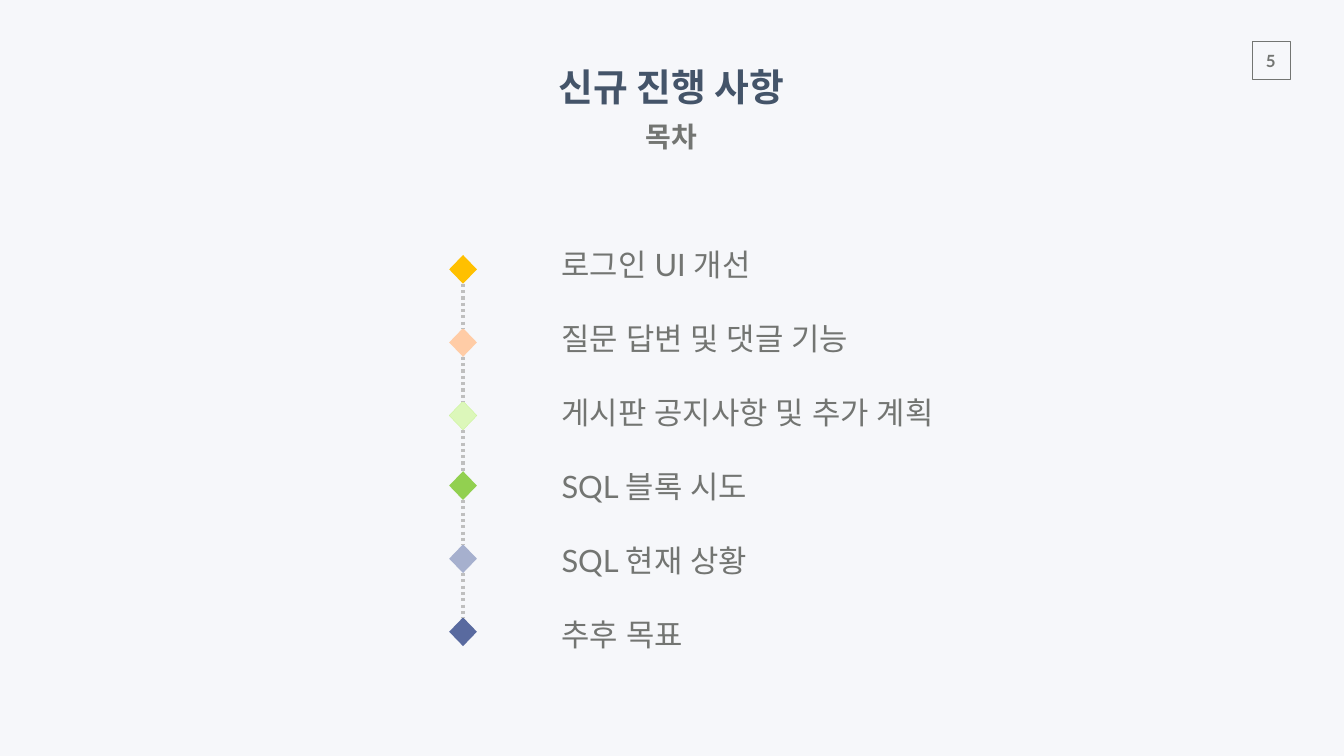
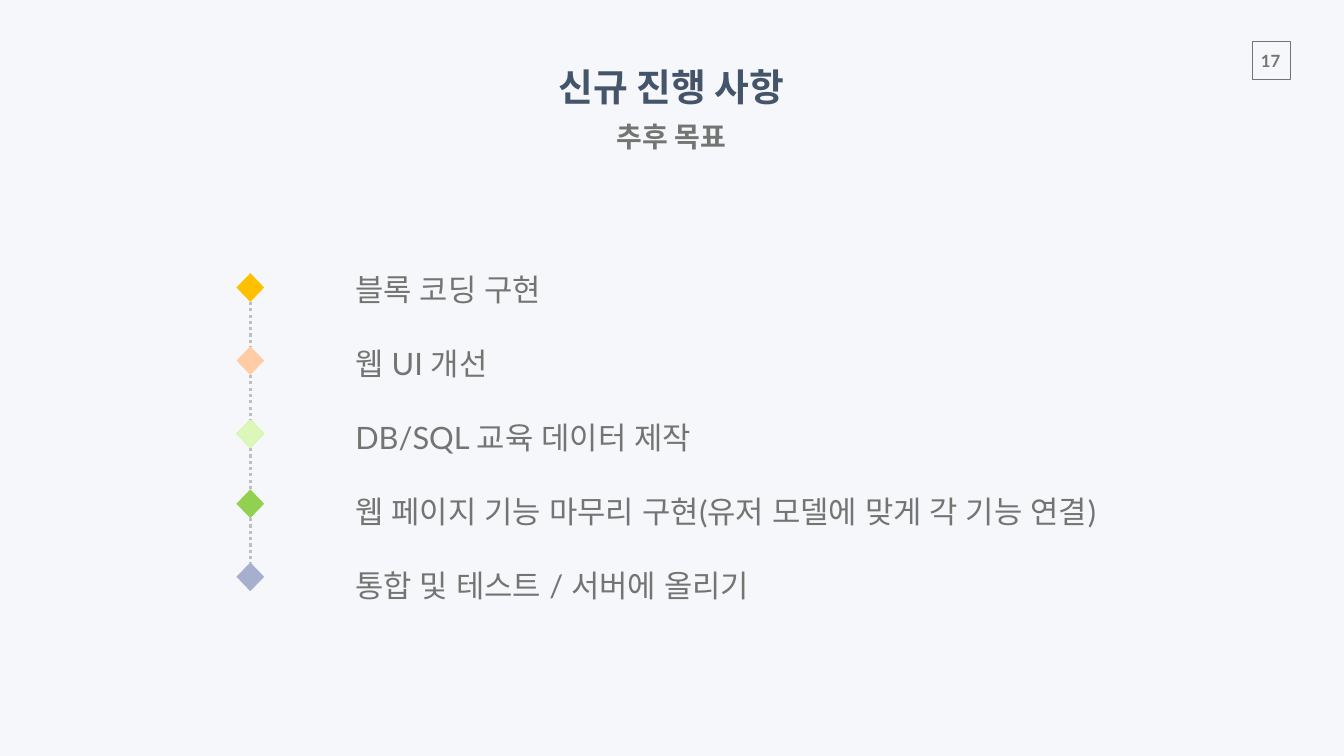
"""Build two agenda slides with a dotted diamond timeline."""
from lxml import etree
from pptx import Presentation
from pptx.dml.color import RGBColor
from pptx.enum.dml import MSO_LINE
from pptx.enum.shapes import MSO_CONNECTOR, MSO_SHAPE
from pptx.enum.text import MSO_ANCHOR, MSO_AUTO_SIZE, PP_ALIGN
from pptx.oxml.ns import qn
from pptx.util import Inches, Pt

RECT, DIAMOND = MSO_SHAPE.RECTANGLE, MSO_SHAPE.DIAMOND
STRAIGHT, DOTS = MSO_CONNECTOR.STRAIGHT, MSO_LINE.ROUND_DOT
TOP, MIDDLE = MSO_ANCHOR.TOP, MSO_ANCHOR.MIDDLE
LEFT, CENTER = PP_ALIGN.LEFT, PP_ALIGN.CENTER
GROW = MSO_AUTO_SIZE.SHAPE_TO_FIT_TEXT

PAPER, NAVY, GRAY, DOT = "F6F7FA", "445469", "737572", "BFBFBF"
GEMS = ["FFC000", "FFCCA6", "DCF7BA", "92D050", "A6B0CE", "596A9F"]
EDGES = {"DCF7BA": "CAF397"}
GEM_W, GEM_H, STEP, SHIFT = 0.55, 0.57, 1.45, 0.06

TITLE = "신규 진행 사항"
SLIDES = [
    {
        "page": "5", "sub": "목차",
        "list": (11.04, 4.83, 9.36, 8.25), "gems": (8.91, 5.06),
        "items": [
            "로그인 UI 개선",
            "질문 답변 및 댓글 기능",
            "게시판 공지사항 및 추가 계획",
            "SQL 블록 시도",
            "SQL 현재 상황",
            "추후 목표",
        ],
    },
    {
        "page": "17", "sub": "추후 목표",
        "list": (6.95, 5.33, 19.3, 6.77), "gems": (4.69, 5.42),
        "items": [
            "블록 코딩 구현",
            "웹 UI 개선",
            "DB/SQL 교육 데이터 제작",
            "웹 페이지 기능 마무리 구현(유저 모델에 맞게 각 기능 연결)",
            "통합 및 테스트 / 서버에 올리기",
        ],
    },
]

STYLES = {
    "title": {"font": {"size": Pt(54), "name": "Noto Sans CJK KR", "bold": True},
              "color": NAVY, "align": CENTER, "pad": (0.27, 0.13),
              "frame": {"word_wrap": False, "vertical_anchor": MIDDLE}},
    "sub": {"font": {"size": Pt(40), "name": "Lato", "bold": True},
            "color": GRAY, "align": CENTER, "pad": (0.1, 0.05),
            "frame": {"word_wrap": True, "vertical_anchor": MIDDLE}},
    "page": {"font": {"size": Pt(24), "name": "Lato", "bold": True},
             "color": GRAY, "align": CENTER, "pad": (0.2, 0.1),
             "frame": {"word_wrap": False, "vertical_anchor": TOP}},
    "list": {"font": {"size": Pt(44), "name": "Lato", "bold": False},
             "color": GRAY, "align": LEFT, "pad": (0.1, 0.05), "gap": 52.8,
             "frame": {"word_wrap": True, "vertical_anchor": TOP}},
}


def rgb(code):
    """Turn a hex string into a colour."""
    return RGBColor.from_string(code)


def assign(target, values):
    """Set each named value on the target."""
    for name, value in values.items():
        setattr(target, name, value)


def place(shape, box):
    """Move and size a shape in inches."""
    names = ("left", "top", "width", "height")
    assign(shape, {name: Inches(n) for name, n in zip(names, box)})


def write(shape, lines, box, style):
    """Fill a shape with styled paragraphs."""
    place(shape, box)
    frame = shape.text_frame
    wide, high = map(Inches, style["pad"])
    assign(frame, {"auto_size": GROW, "margin_left": wide, "margin_right": wide,
                   "margin_top": high, "margin_bottom": high, **style["frame"]})
    for i, line in enumerate(lines):
        para = frame.add_paragraph() if i else frame.paragraphs[0]
        assign(para, {"alignment": style["align"], "space_before": Pt(0)})
        if i:
            para.space_before = Pt(style["gap"])
        run = para.add_run()
        run.text = line
        run.font.color.rgb = rgb(style["color"])
        assign(run.font, style["font"])
        face = etree.SubElement(run.font._element, qn("a:ea"))
        face.set("typeface", style["font"]["name"])


def add_text(slide, lines, box, style):
    """Add a text box."""
    write(slide.shapes.add_textbox(0, 0, 0, 0), lines, box, style)


def add_form(slide, kind, box, fill=None, edge=None, width=1):
    """Add a flat preset shape."""
    form = slide.shapes.add_shape(kind, *map(Inches, box))
    form.shadow.inherit = False
    if fill:
        form.fill.solid()
        form.fill.fore_color.rgb = rgb(fill)
    else:
        form.fill.background()
    if edge:
        form.line.color.rgb = rgb(edge)
        form.line.width = Pt(width)
    else:
        form.line.fill.background()
    return form


def add_link(slide, above, below):
    """Join two diamonds with a dotted line."""
    link = slide.shapes.add_connector(STRAIGHT, 0, 0, 0, 0)
    link.begin_connect(above, 2)
    link.end_connect(below, 0)
    link.line.color.rgb = rgb(DOT)
    assign(link.line, {"width": Pt(4.5), "dash_style": DOTS})
    etree.SubElement(link._element.spPr, qn("a:effectLst"))


def add_gems(slide, left, top, count):
    """Draw the column of linked diamonds."""
    gems = []
    for i, fill in enumerate(GEMS[:count]):
        y = top + i * STEP - (SHIFT if i > 2 else 0)
        box = (left, y, GEM_W, GEM_H)
        gems.append(add_form(slide, DIAMOND, box, fill, EDGES.get(fill), 0.5))
    for above, below in zip(gems, gems[1:]):
        add_link(slide, above, below)


def add_page(deck, data):
    """Add one agenda slide."""
    slide = deck.slides.add_slide(deck.slide_layouts[5])
    add_form(slide, RECT, (24.84, 0.82, 0.75, 0.75), edge=GRAY)
    add_text(slide, [data["page"]], (24.8, 0.9, 0.81, 0.61), STYLES["page"])
    write(slide.shapes.title, [TITLE], (10.51, 1.12, 5.62, 1.18), STYLES["title"])
    add_text(slide, [data["sub"]], (6.84, 2.32, 12.95, 0.77), STYLES["sub"])
    add_text(slide, data["items"], data["list"], STYLES["list"])
    add_gems(slide, *data["gems"], len(data["items"]))


def main():
    """Build and save the deck."""
    deck = Presentation()
    assign(deck, {"slide_width": Inches(26.66), "slide_height": Inches(15)})
    back = deck.slide_master.background.fill
    back.solid()
    back.fore_color.rgb = rgb(PAPER)
    for data in SLIDES:
        add_page(deck, data)
    deck.save("out.pptx")


if __name__ == "__main__":
    main()
